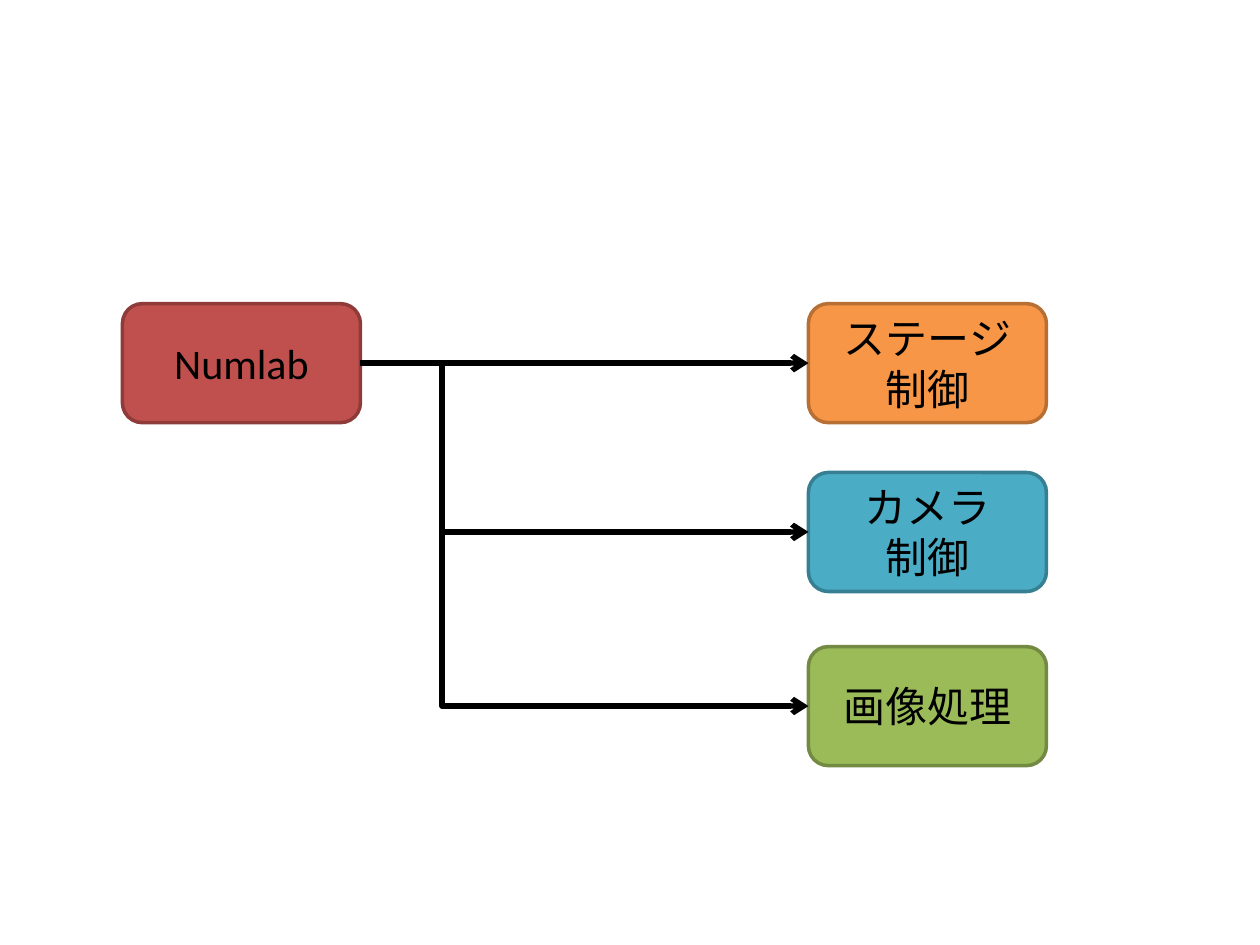
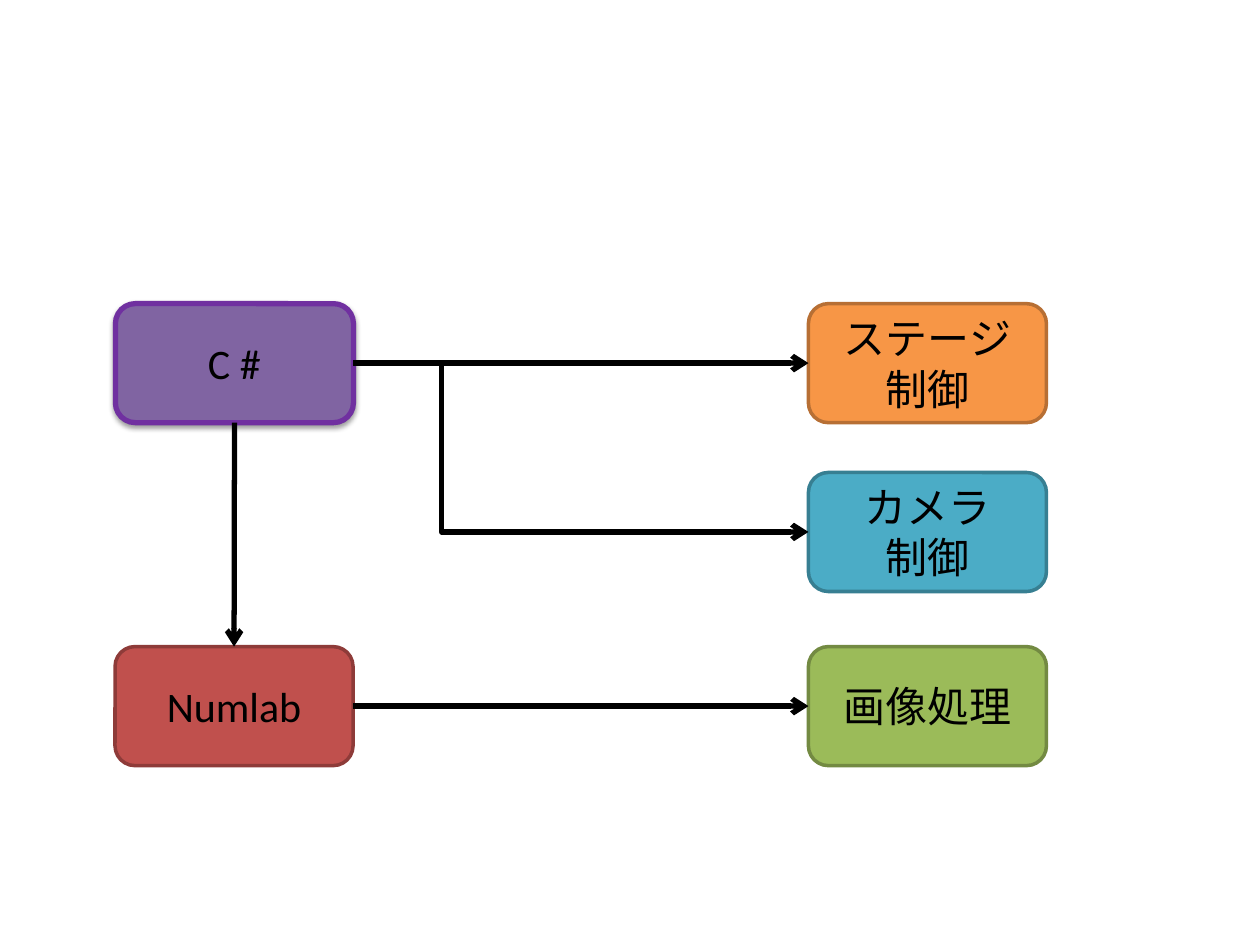
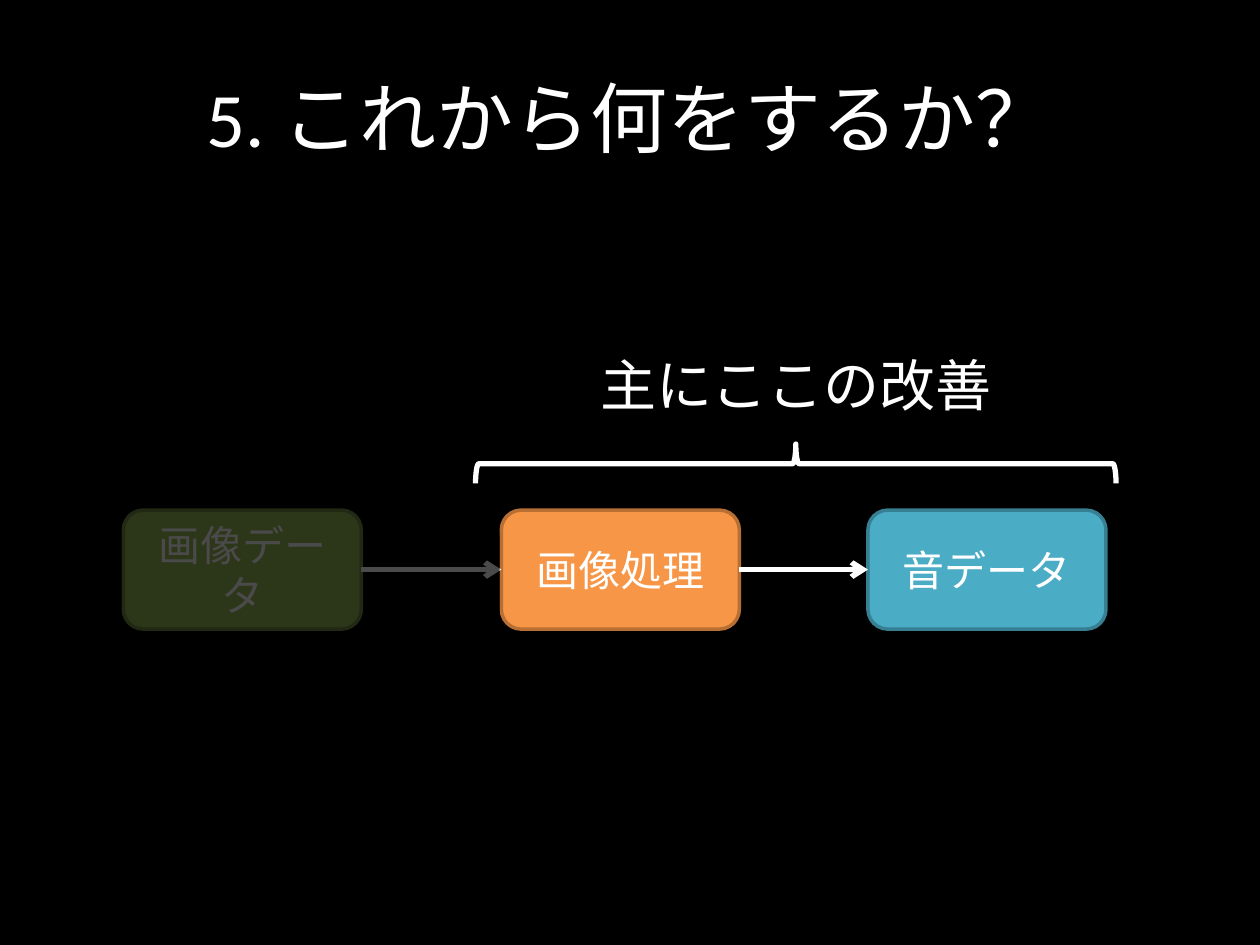
from dataclasses import dataclass
from typing import Optional

import lxml.etree
import pptx
import pptx.dml.color
import pptx.enum.shapes
import pptx.enum.text
import pptx.oxml.ns
import pptx.util

Pt = pptx.util.Pt
RGBColor = pptx.dml.color.RGBColor
SHAPES = pptx.enum.shapes.MSO_SHAPE
CONNECTORS = pptx.enum.shapes.MSO_CONNECTOR
qn = pptx.oxml.ns.qn

BLACK = RGBColor(0x00, 0x00, 0x00)
WHITE = RGBColor(0xFF, 0xFF, 0xFF)
FONT = "Calibri"
BOX_WIDTH, BOX_HEIGHT = 136, 68
TOP_ROW, MIDDLE_ROW, BOTTOM_ROW = 173.5, 270, 369.5
TASK_LEFT = 462
TRUNK_X = 252.5
TOP, LEFT, BOTTOM, RIGHT = range(4)  # connection sites of a box


@dataclass(frozen=True)
class Style:
    fill: RGBColor
    line: RGBColor
    line_width: float = 2
    shadow: bool = False


GREEN = Style(RGBColor(0x9B, 0xBB, 0x59), RGBColor(0x73, 0x8A, 0x42))
ORANGE = Style(RGBColor(0xF7, 0x96, 0x46), RGBColor(0xB7, 0x6F, 0x34))
BLUE = Style(RGBColor(0x4B, 0xAC, 0xC6), RGBColor(0x37, 0x7F, 0x92))
RED = Style(RGBColor(0xC0, 0x50, 0x4D), RGBColor(0x8E, 0x3B, 0x39))
PURPLE = Style(RGBColor(0x80, 0x64, 0xA2), RGBColor(0x70, 0x30, 0xA0), 3, True)


@dataclass(frozen=True)
class Block:
    text: str
    left: float
    top: float
    style: Style


TASKS = (
    Block("ステージ\n制御", TASK_LEFT, TOP_ROW, ORANGE),
    Block("カメラ\n制御", TASK_LEFT, MIDDLE_ROW, BLUE),
    Block("画像処理", TASK_LEFT, BOTTOM_ROW, GREEN),
)
PIPELINE = (
    Block("画像データ", 70.5, 291.5, GREEN),
    Block("画像処理", 286.5, 291.5, ORANGE),
    Block("音データ", 496, 291.5, BLUE),
)


def add_slide(deck, background: RGBColor):
    page = deck.slides.add_slide(deck.slide_layouts[6])
    page.background.fill.solid()
    page.background.fill.fore_color.rgb = background
    return page


def write_text(shape, text: str, *, size: float, color: RGBColor,
               anchor=pptx.enum.text.MSO_ANCHOR.MIDDLE) -> None:
    """Write one centred paragraph, breaking its lines at each newline."""
    frame = shape.text_frame
    frame.word_wrap = True
    frame.vertical_anchor = anchor
    para = frame.paragraphs[0]
    para.alignment = pptx.enum.text.PP_ALIGN.CENTER
    for index, line in enumerate(text.split("\n")):
        if index:
            para.add_line_break()
        span = para.add_run()
        span.text = line
        span.font.name = FONT
        span.font.size = Pt(size)
        span.font.color.rgb = color


def add_label(page, text: str, left: float, top: float, width: float,
              height: float, **text_format) -> None:
    box = page.shapes.add_textbox(Pt(left), Pt(top), Pt(width), Pt(height))
    write_text(box, text, **text_format)


def add_plain_shape(page, kind, left: float, top: float, width: float, height: float):
    shape = page.shapes.add_shape(kind, Pt(left), Pt(top), Pt(width), Pt(height))
    shape.shadow.inherit = False
    return shape


def add_soft_shadow(shape) -> None:
    effects = shape._element.spPr.find(qn("a:effectLst"))
    shadow = lxml.etree.SubElement(
        effects, qn("a:outerShdw"), blurRad=str(Pt(3.1)), dist=str(Pt(1.6)),
        dir="5400000", rotWithShape="0")
    color = lxml.etree.SubElement(shadow, qn("a:srgbClr"), val=str(BLACK))
    lxml.etree.SubElement(color, qn("a:alpha"), val="38000")


def add_block(page, block: Block, text_color: RGBColor):
    box = add_plain_shape(page, SHAPES.ROUNDED_RECTANGLE,
                          block.left, block.top, BOX_WIDTH, BOX_HEIGHT)
    style = block.style
    box.fill.solid()
    box.fill.fore_color.rgb = style.fill
    box.line.color.rgb = style.line
    box.line.width = Pt(style.line_width)
    if style.shadow:
        add_soft_shadow(box)
    write_text(box, block.text, size=24, color=text_color)
    return box


def add_arrow(page, source, target, color: RGBColor, *, sites=(RIGHT, LEFT),
              bend_x: Optional[float] = None) -> None:
    """Join two boxes; with bend_x the arrow is an elbow that turns there."""
    kind = CONNECTORS.STRAIGHT if bend_x is None else CONNECTORS.ELBOW
    arrow = page.shapes.add_connector(kind, 0, 0, 0, 0)
    arrow.begin_connect(source, sites[0])
    arrow.end_connect(target, sites[1])
    arrow.line.color.rgb = color
    arrow.line.width = Pt(3)
    properties = arrow._element.spPr
    lxml.etree.SubElement(properties.find(qn("a:ln")), qn("a:tailEnd"), type="arrow")
    lxml.etree.SubElement(properties, qn("a:effectLst"))
    if bend_x is not None:
        share = (Pt(bend_x) - arrow.begin_x) / (arrow.end_x - arrow.begin_x)
        guides = properties.find(qn("a:prstGeom")).find(qn("a:avLst"))
        lxml.etree.SubElement(guides, qn("a:gd"), name="adj1",
                              fmla=f"val {round(share * 100000)}")


def add_cover(page) -> None:
    """Dim the first step of the pipeline."""
    cover = add_plain_shape(page, SHAPES.ROUNDED_RECTANGLE, 54.5, 287.5, 231, 116.5)
    cover.fill.solid()
    cover.fill.fore_color.rgb = BLACK
    cover.line.fill.background()
    color = cover._element.spPr.find(qn("a:solidFill"))[0]
    lxml.etree.SubElement(color, qn("a:alpha"), val="71000")


def add_brace(page) -> None:
    brace = add_plain_shape(page, SHAPES.LEFT_BRACE, 443.5, 82, 22.5, 366)
    brace.rotation = 90
    brace.fill.background()
    brace.line.color.rgb = WHITE
    brace.line.width = Pt(3)


def build_numlab_control(deck) -> None:
    page = add_slide(deck, WHITE)
    stage, camera, imaging = [add_block(page, task, BLACK) for task in TASKS]
    numlab = add_block(page, Block("Numlab", 70, TOP_ROW, RED), BLACK)
    add_arrow(page, numlab, stage, BLACK)
    for task in (camera, imaging):
        add_arrow(page, numlab, task, BLACK, bend_x=TRUNK_X)


def build_csharp_control(deck) -> None:
    page = add_slide(deck, WHITE)
    stage, camera, imaging = [add_block(page, task, BLACK) for task in TASKS]
    numlab = add_block(page, Block("Numlab", 65.75, BOTTOM_ROW, RED), BLACK)
    csharp = add_block(page, Block("C #", 66, TOP_ROW, PURPLE), BLACK)
    add_arrow(page, numlab, imaging, BLACK)
    add_arrow(page, csharp, numlab, BLACK, sites=(BOTTOM, TOP))
    add_arrow(page, csharp, stage, BLACK)
    add_arrow(page, csharp, camera, BLACK, bend_x=TRUNK_X)


def build_next_steps(deck) -> None:
    page = add_slide(deck, BLACK)
    add_label(page, "5. これから何をするか？", 36, 21.6, 648, 90, size=44, color=WHITE)
    steps = [add_block(page, step, WHITE) for step in PIPELINE]
    for source, target in zip(steps, steps[1:]):
        add_arrow(page, source, target, WHITE)
    add_cover(page)
    add_brace(page)
    add_label(page, "主にここの改善", 305, 196.5, 299.5, 46, size=32, color=WHITE,
              anchor=pptx.enum.text.MSO_ANCHOR.TOP)


def main() -> None:
    deck = pptx.Presentation()
    deck.slide_width, deck.slide_height = Pt(720), Pt(540)
    build_numlab_control(deck)
    build_csharp_control(deck)
    build_next_steps(deck)
    deck.save("out.pptx")


if __name__ == "__main__":
    main()
